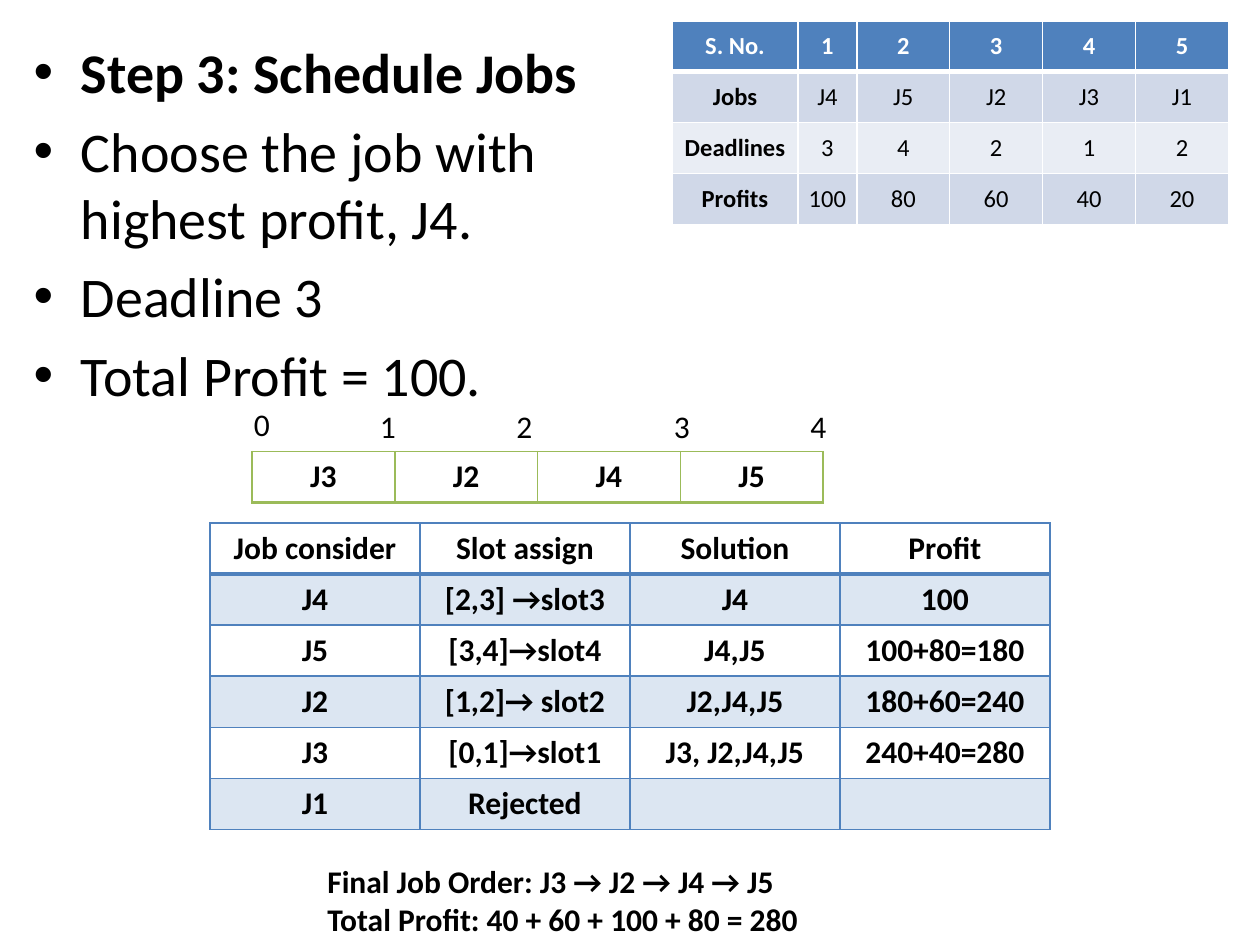
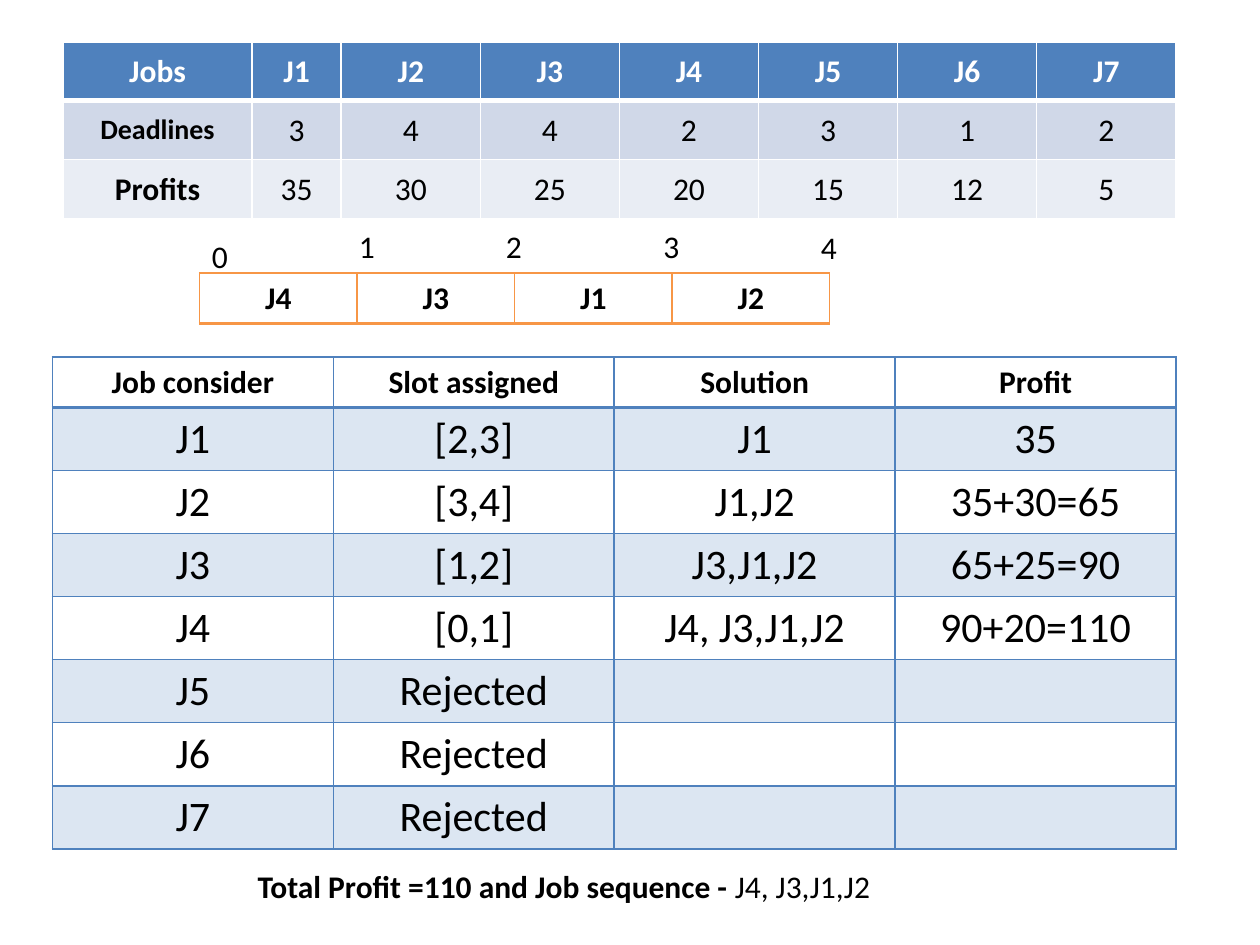
from lxml.etree import SubElement
from pptx import Presentation
from pptx.dml.color import RGBColor
from pptx.enum.text import MSO_ANCHOR, MSO_AUTO_SIZE, PP_ALIGN
from pptx.oxml.ns import qn
from pptx.util import Inches, Pt

COLOURS = {
    "text": "000000",
    "white": "FFFFFF",
    "blue": "4F81BD",
    "blue_tint": "DCE6F2",
    "band_dark": "D0D8E8",
    "band_light": "E9EDF4",
    "green": "9BBB59",
    "orange": "F79646",
}
FONT = "Calibri"
COLUMNS, ROWS = 120, 90  # slide grid; one cell is a twelfth of an inch
BLANK_LAYOUT, CONTENT_LAYOUT = 6, 1
LEDGER_HEADER, LEDGER_ROW, LEDGER_LARGE_ROW = 4.8, 4.8, 6
SLOT_HEIGHT, TICK_HEIGHT = 4.8, 4.8
CELL_INSET = 1


def grid(*lengths):
    return [Inches(length / 12) for length in lengths]


def rgb(name):
    return RGBColor.from_string(COLOURS[name])


def format_span(span, size, bold=False, colour="text"):
    span.font.name = FONT
    span.font.size = Pt(size)
    span.font.bold = bold
    span.font.color.rgb = rgb(colour)


def set_borders(cell, colour, top=1, bottom=1):
    properties = cell._tc.get_or_add_tcPr()
    for side, width in (("L", 1), ("R", 1), ("T", top), ("B", bottom)):
        line = SubElement(properties, qn(f"a:ln{side}"), w=str(Pt(width)))
        fill = SubElement(line, qn("a:solidFill"))
        SubElement(fill, qn("a:srgbClr"), val=COLOURS[colour])


def fill_cell(cell, text, size, bold, colour="text", fill=None):
    """Write centred text in a cell whose borders are already set."""
    if fill:
        cell.fill.solid()
        cell.fill.fore_color.rgb = rgb(fill)
    else:
        cell.fill.background()
    para = cell.text_frame.paragraphs[0]
    para.text = text
    para.alignment = PP_ALIGN.CENTER
    para.font.size = Pt(size)
    for span in para.runs:
        format_span(span, size, bold, colour)


def add_plain_table(page, left, top, widths, heights):
    frame = page.shapes.add_table(
        len(heights), len(widths), *grid(left, top, sum(widths), sum(heights)))
    table = frame.table
    table.first_row = table.horz_banding = False
    for column, width in zip(table.columns, grid(*widths)):
        column.width = width
    for row, height in zip(table.rows, grid(*heights)):
        row.height = height
    return table


def add_jobs_table(page, left, top, widths, heights, rows, size, label_sizes=None):
    """Banded table with a blue header and bold row labels."""
    table = add_plain_table(page, left, top, widths, heights)
    label_sizes = label_sizes or {}
    inset = grid(CELL_INSET)[0]
    for r, values in enumerate(rows):
        header = r == 0
        fill = "blue" if header else ("band_light", "band_dark")[r % 2]
        for c, value in enumerate(values):
            cell = table.cell(r, c)
            cell.vertical_anchor = MSO_ANCHOR.MIDDLE
            cell.margin_left = cell.margin_right = inset
            cell.margin_top = cell.margin_bottom = inset
            set_borders(cell, "white", 3 if r == 1 else 1, 3 if header else 1)
            fill_cell(cell, value, label_sizes.get(value, size),
                      header or c == 0, "white" if header else "text", fill)


def add_ledger(page, left, top, width, row_height, rows, size, bold):
    """Table of each job considered, with its slot, solution and profit."""
    columns = len(rows[0])
    heights = [LEDGER_HEADER] + [row_height] * (len(rows) - 1)
    table = add_plain_table(page, left, top, [width / columns] * columns, heights)
    for r, values in enumerate(rows):
        header = r == 0
        for c, value in enumerate(values):
            cell = table.cell(r, c)
            set_borders(cell, "blue", 2 if r == 1 else 1, 2 if header else 1)
            fill_cell(cell, value, 18 if header else size, header or bold,
                      fill="blue_tint" if r % 2 else None)


def add_text(page, left, top, width, height, paragraphs, align=PP_ALIGN.LEFT):
    """Each paragraph is a list of (text, bold) spans."""
    box = page.shapes.add_textbox(*grid(left, top, width, height))
    frame = box.text_frame
    frame.word_wrap = True
    for index, spans in enumerate(paragraphs):
        para = frame.add_paragraph() if index else frame.paragraphs[0]
        para.alignment = align
        for text, bold in spans:
            span = para.add_run()
            span.text = text
            format_span(span, 18, bold)


def add_slots(page, left, top, width, jobs, colour, ticks, tick_width):
    """Row of time slots; ticks are (x, y) offsets of the labels 0, 1, 2..."""
    table = add_plain_table(
        page, left, top, [width / len(jobs)] * len(jobs), [SLOT_HEIGHT])
    for c, job in enumerate(jobs):
        set_borders(table.cell(0, c), colour, bottom=2)
        fill_cell(table.cell(0, c), job, 18, True)
    for number, (x, y) in enumerate(ticks):
        add_text(page, left + x, top + y, tick_width, TICK_HEIGHT,
                 [[(str(number), False)]])


def add_steps(page, left, top, width, height, lines):
    """Bulleted lines in the body placeholder, the first one bold."""
    title = page.shapes.title
    title.element.getparent().remove(title.element)
    body = page.placeholders[1]
    body.left, body.top, body.width, body.height = grid(left, top, width, height)
    frame = body.text_frame
    frame.text = "\n".join(lines)
    frame.auto_size = MSO_AUTO_SIZE.NONE
    frame.paragraphs[0].space_before = Pt(0)
    for index, para in enumerate(frame.paragraphs):
        for span in para.runs:
            format_span(span, 32, index == 0)


def build_schedule_page(deck):
    page = deck.slides.add_slide(deck.slide_layouts[CONTENT_LAYOUT])
    add_steps(page, 2, 3, 61, 39, [
        "Step 3: Schedule Jobs",
        "Choose the job with highest profit, J4.",
        "Deadline 3",
        "Total Profit = 100.",
    ])
    add_ledger(page, 20, 49.8, 80, LEDGER_ROW, [
        ["Job consider", "Slot assign", "Solution", "Profit"],
        ["J4", "[2,3] →slot3", "J4", "100"],
        ["J5", "[3,4]→slot4", "J4,J5", "100+80=180"],
        ["J2", "[1,2]→ slot2", "J2,J4,J5", "180+60=240"],
        ["J3", "[0,1]→slot1", "J3, J2,J4,J5", "240+40=280"],
        ["J1", "Rejected", "", ""],
    ], 18, True)
    add_slots(page, 24, 43, 54.4, ["J3", "J2", "J4", "J5"], "green",
              [(-1, -5), (11, -4.8), (24, -4.8), (39, -4.8), (52, -4.8)], 5)
    add_jobs_table(page, 64, 2, [12, 5.6] + [8.85] * 4, [4.7] + [4.87] * 3, [
        ["S. No.", "1", "2", "3", "4", "5"],
        ["Jobs", "J4", "J5", "J2", "J3", "J1"],
        ["Deadlines", "3", "4", "2", "1", "2"],
        ["Profits", "100", "80", "60", "40", "20"],
    ], 14)
    add_text(page, 30, 81.5, 60, 8.5, [
        [("Final Job Order: J3 → J2 → J4 → J5", True)],
        [("Total Profit: 40 + 60 + 100 + 80 = 280", True)],
    ])


def build_exercise_page(deck):
    page = deck.slides.add_slide(deck.slide_layouts[BLANK_LAYOUT])
    add_ledger(page, 5, 34, 107, LEDGER_LARGE_ROW, [
        ["Job consider", "Slot assigned", "Solution", "Profit"],
        ["J1", "[2,3]", "J1", "35"],
        ["J2", "[3,4]", "J1,J2", "35+30=65"],
        ["J3", "[1,2]", "J3,J1,J2", "65+25=90"],
        ["J4", "[0,1]", "J4, J3,J1,J2", "90+20=110"],
        ["J5", "Rejected", "", ""],
        ["J6", "Rejected", "", ""],
        ["J7", "Rejected", "", ""],
    ], 24, False)
    add_slots(page, 19, 26, 60, ["J4", "J3", "J1", "J2"], "orange",
              [(0, -4), (14, -5), (28, -5), (43, -5), (58, -4.9)], 4)
    add_text(page, 22.3, 82, 62.8, 5, [
        [("Total Profit =110 and Job sequence - ", True), ("J4, J3,J1,J2", False)],
    ], PP_ALIGN.CENTER)
    add_jobs_table(page, 6, 4, [18, 8.5] + [13.25] * 6, [5.6] * 3, [
        ["Jobs", "J1", "J2", "J3", "J4", "J5", "J6", "J7"],
        ["Deadlines", "3", "4", "4", "2", "3", "1", "2"],
        ["Profits", "35", "30", "25", "20", "15", "12", "5"],
    ], 18, {"Deadlines": 16})


def main():
    deck = Presentation()
    deck.slide_width, deck.slide_height = grid(COLUMNS, ROWS)
    build_schedule_page(deck)
    build_exercise_page(deck)
    deck.save("out.pptx")


if __name__ == "__main__":
    main()
